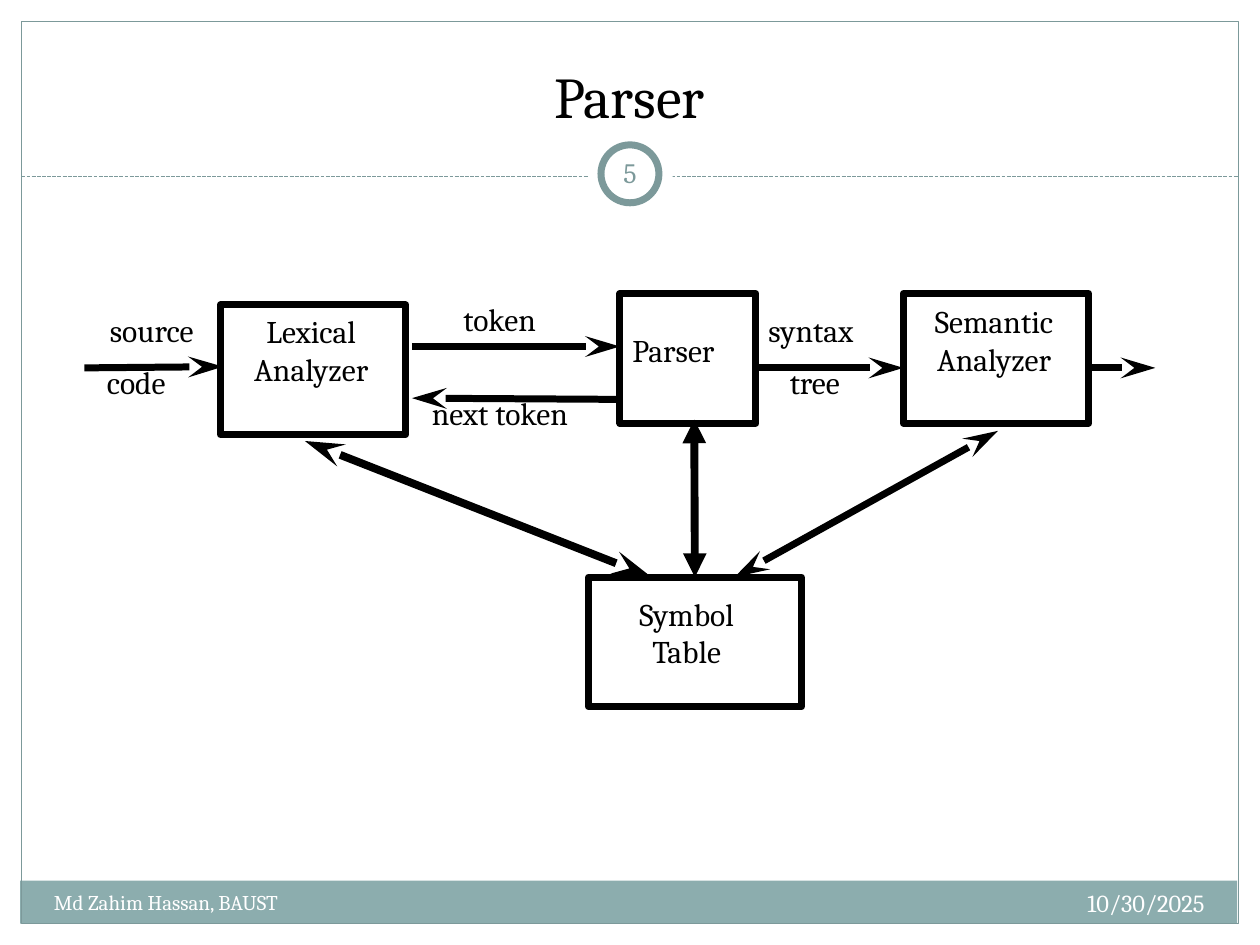
from dataclasses import dataclass

from pptx import Presentation
from pptx.dml.color import RGBColor
from pptx.enum.dml import MSO_LINE
from pptx.enum.shapes import MSO_CONNECTOR, MSO_SHAPE
from pptx.enum.text import MSO_ANCHOR as ANCHOR, PP_ALIGN as ALIGN
from pptx.oxml.ns import qn
from pptx.util import Inches, Pt
from lxml.etree import SubElement


@dataclass(frozen=True)
class Theme:
    font: str = "Cambria"
    ink: str = "000000"
    paper: str = "FFFFFF"
    accent: str = "7C999A"
    band: str = "8CADAE"
    title_size: int = 33
    label_size: int = 18
    number_size: int = 16
    date_size: int = 14
    footer_size: int = 12
    frame_line: float = 0.75
    box_line: float = 4
    heavy_line: float = 4.5


THEME = Theme()
TITLE = "Parser"

# Boxes: left, top, width, height
BOXES = {
    "lexical": (1.75, 2.42, 1.47, 1.03),
    "parser": (4.92, 2.33, 1.08, 1.03),
    "symbols": (4.67, 4.58, 1.69, 1.03),
    "semantic": (7.17, 2.33, 1.47, 1.03),
}

# Labels: lines, place, alignment
LABELS = [
    (["Lexical", "Analyzer"], (1.76, 2.43, 1.42, 0.9), ALIGN.CENTER),
    (["Parser"], (4.92, 2.58, 1.03, 0.5), ALIGN.LEFT),
    (["Symbol", "Table"], (4.83, 4.67, 1.24, 0.9), ALIGN.CENTER),
    (["Semantic", "Analyzer"], (7.17, 2.35, 1.44, 0.9), ALIGN.CENTER),
    (["token"], (3.58, 2.33, 0.94, 0.5), ALIGN.LEFT),
    (["next token"], (3.33, 3.08, 1.6, 0.5), ALIGN.LEFT),
    (["source"], (0.67, 2.42, 1.07, 0.5), ALIGN.CENTER),
    (["code"], (0.75, 2.83, 0.83, 0.5), ALIGN.LEFT),
    (["syntax"], (6, 2.42, 1.07, 0.5), ALIGN.LEFT),
    (["tree"], (6.17, 2.83, 0.7, 0.5), ALIGN.LEFT),
]

# Flows: start, end, line width, head at start, head at end
FLOWS = [
    ((0.67, 2.92), (1.77, 2.91), THEME.box_line, None, "stealth"),
    ((3.27, 2.75), (4.92, 2.75), THEME.box_line, None, "stealth"),
    ((3.27, 3.16), (4.92, 3.17), THEME.box_line, "stealth", None),
    ((6, 2.92), (7.17, 2.92), THEME.box_line, None, "stealth"),
    ((8.67, 2.92), (9.17, 2.92), THEME.box_line, None, "stealth"),
    ((2.42, 3.5), (5.17, 4.58), THEME.heavy_line, "stealth", "stealth"),
    ((7.92, 3.42), (5.83, 4.58), THEME.box_line, "stealth", "stealth"),
]
PARSER_TO_SYMBOLS = ((5.51, 3.33), (5.51, 4.58), THEME.heavy_line, "triangle", "triangle")
HEAD_LENGTH = {"stealth": "lg", "triangle": "med"}


def rgb(color):
    return RGBColor.from_string(color)


def inches(values):
    return [Inches(value) for value in values]


def add_outline(slide, kind, place, fill=None, line=None, width=THEME.frame_line):
    shape = slide.shapes.add_shape(kind, *inches(place))
    shape.shadow.inherit = False
    if fill:
        shape.fill.solid()
        shape.fill.fore_color.rgb = rgb(fill)
    else:
        shape.fill.background()
    if line:
        shape.line.color.rgb = rgb(line)
        shape.line.width = Pt(width)
    else:
        shape.line.fill.background()
    return shape


def write(frame, lines, size, color, align):
    frame.text = "\n".join(lines)
    for paragraph in frame.paragraphs:
        paragraph.alignment = align
        paragraph.font.name = THEME.font
        paragraph.font.size = Pt(size)
        paragraph.font.color.rgb = rgb(color)


def add_text(slide, lines, place, size, color, align, wrap=True):
    frame = slide.shapes.add_textbox(*inches(place)).text_frame
    frame.word_wrap = wrap
    write(frame, lines, size, color, align)
    return frame


def add_line(slide, start, end, width, color):
    line = slide.shapes.add_connector(MSO_CONNECTOR.STRAIGHT, *inches(start + end))
    line.line.color.rgb = rgb(color)
    line.line.width = Pt(width)
    SubElement(line._element.spPr, qn("a:effectLst"))
    return line


def add_flow(slide, start, end, width, head, tail):
    flow = add_line(slide, start, end, width, THEME.ink)
    for tag, kind in (("a:headEnd", head), ("a:tailEnd", tail)):
        if kind:
            SubElement(flow.line._get_or_add_ln(), qn(tag),
                       type=kind, w="med", len=HEAD_LENGTH[kind])
    return flow


def main():
    deck = Presentation()
    deck.slide_width, deck.slide_height = Inches(10), Inches(7.5)
    slide = deck.slides.add_slide(deck.slide_layouts[5])

    # Title
    title = slide.shapes.title
    title.left, title.top, title.width, title.height = inches((0.33, 0.25, 9.33, 0.83))
    title.text_frame.vertical_anchor = ANCHOR.BOTTOM
    write(title.text_frame, [TITLE], THEME.title_size, THEME.ink, ALIGN.CENTER)

    # Frame, footer band and divider
    add_outline(slide, MSO_SHAPE.RECTANGLE, (0.16, 6.99, 9.66, 0.34), fill=THEME.band)
    add_outline(slide, MSO_SHAPE.RECTANGLE, (0.17, 0.17, 9.66, 7.16), line=THEME.accent)
    divider = add_line(slide, (0.17, 1.4), (9.83, 1.4), THEME.frame_line, THEME.accent)
    divider.line.dash_style = MSO_LINE.SQUARE_DOT

    # Slide number badge
    add_outline(slide, MSO_SHAPE.OVAL, (4.67, 1.05, 0.67, 0.67), fill=THEME.paper)
    add_outline(slide, MSO_SHAPE.OVAL, (4.77, 1.15, 0.46, 0.46),
                THEME.paper, THEME.accent, THEME.box_line)
    number = add_text(slide, ["5"], (4.75, 1.13, 0.5, 0.48),
                      THEME.number_size, THEME.accent, ALIGN.CENTER)
    number.vertical_anchor = ANCHOR.MIDDLE
    number.margin_left = number.margin_right = Inches(0.05)

    # Footer
    add_text(slide, ["10/30/2025"], (6.33, 7, 3.33, 0.4),
             THEME.date_size, THEME.paper, ALIGN.RIGHT)
    add_text(slide, ["Md Zahim Hassan, BAUST"], (0.33, 7.01, 3.92, 0.4),
             THEME.footer_size, THEME.paper, ALIGN.LEFT)

    # Compiler stages, flows and labels
    stages = {
        stage: add_outline(slide, MSO_SHAPE.RECTANGLE, place,
                           line=THEME.ink, width=THEME.box_line)
        for stage, place in BOXES.items()
    }
    for flow in FLOWS:
        add_flow(slide, *flow)
    add_flow(slide, *PARSER_TO_SYMBOLS).end_connect(stages["symbols"], 0)
    for lines, place, align in LABELS:
        add_text(slide, lines, place, THEME.label_size, THEME.ink, align, wrap=False)

    deck.save("out.pptx")


if __name__ == "__main__":
    main()
